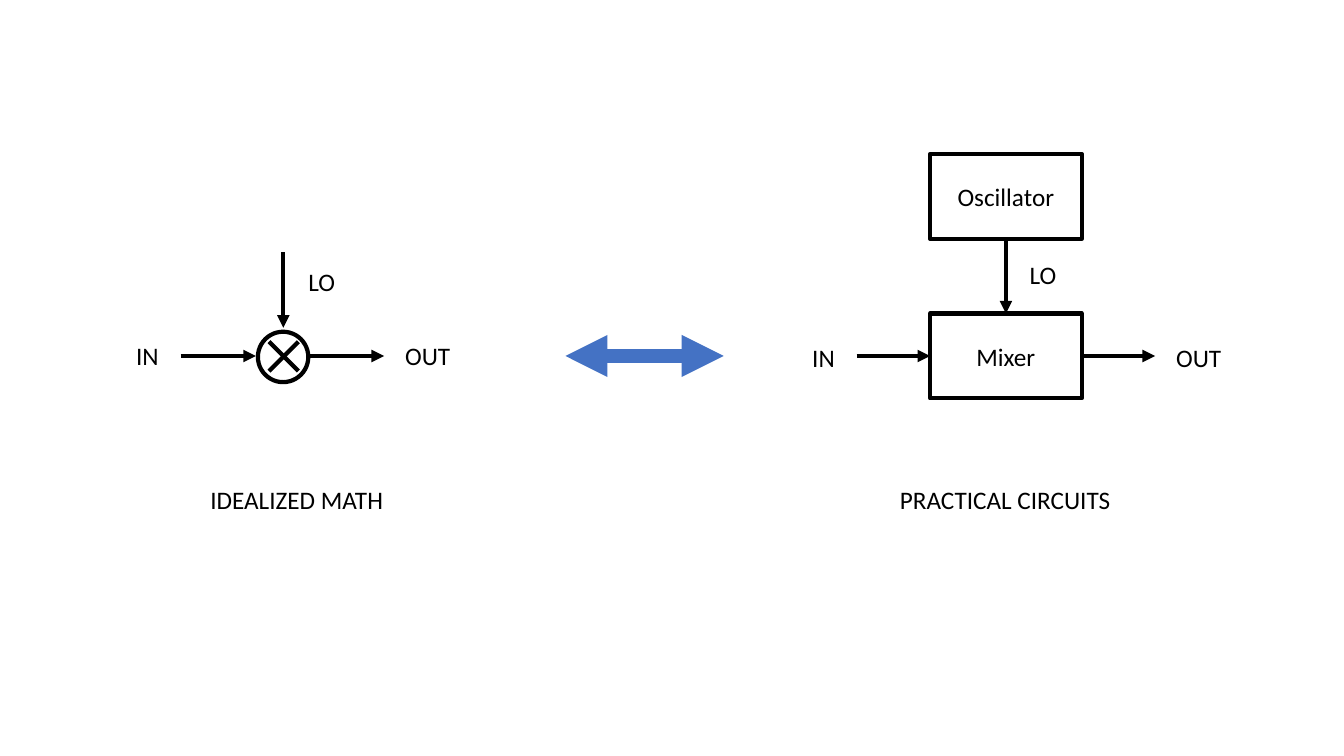
import pptx
import pptx.util
import pptx.dml.color
import pptx.enum.shapes
import pptx.enum.text
import pptx.oxml.ns
import lxml.etree

Cm = pptx.util.Cm
Pt = pptx.util.Pt
SHAPE = pptx.enum.shapes.MSO_SHAPE
BLACK = pptx.dml.color.RGBColor(0x00, 0x00, 0x00)
BLUE = pptx.dml.color.RGBColor(0x44, 0x72, 0xC4)
FONT = "Calibri"
AXIS = 8.97


def add_line(page, start, finish, ends=("tailEnd",), color=BLACK, width=3):
    line = page.shapes.add_connector(
        pptx.enum.shapes.MSO_CONNECTOR.STRAIGHT, *map(Cm, start + finish))
    line.line.color.rgb = color
    line.line.width = Pt(width)
    outline = line.line._get_or_add_ln()
    for end in ends:
        lxml.etree.SubElement(outline, pptx.oxml.ns.qn("a:" + end), type="triangle")
    lxml.etree.SubElement(line._element.spPr, pptx.oxml.ns.qn("a:effectLst"))
    return line


def add_outline(page, shape_type, left, top, width, height):
    box = page.shapes.add_shape(shape_type, Cm(left), Cm(top), Cm(width), Cm(height))
    box.shadow.inherit = False
    box.fill.background()
    box.line.color.rgb = BLACK
    box.line.width = Pt(3)
    return box


deck = pptx.Presentation()
deck.slide_width = Cm(33.87)
deck.slide_height = Cm(19.05)
page = deck.slides.add_slide(deck.slide_layouts[6])

add_outline(page, SHAPE.OVAL, 6.5, 8.36, 1.27, 1.27)
add_line(page, (6.78, 8.61), (7.52, 9.35), ends=())
add_line(page, (7.52, 8.61), (6.78, 9.35), ends=())
add_line(page, (7.14, 6.35), (7.14, 8.26))
add_line(page, (4.55, AXIS), (6.45, AXIS))
add_line(page, (7.77, AXIS), (9.68, AXIS))

add_line(page, (14.25, AXIS), (18.24, AXIS), ("headEnd", "tailEnd"), BLUE, 10)

blocks = {}
for name, top in (("Oscillator", 3.88), ("Mixer", 7.9)):
    box = add_outline(page, SHAPE.RECTANGLE, 23.44, top, 3.82, 2.14)
    box.text_frame.vertical_anchor = pptx.enum.text.MSO_ANCHOR.MIDDLE
    para = box.text_frame.paragraphs[0]
    para.text = name
    para.alignment = pptx.enum.text.PP_ALIGN.CENTER
    para.font.name = FONT
    para.font.size = Pt(18)
    para.font.color.rgb = BLACK
    blocks[name] = box

oscillator_arrow = add_line(page, (25.35, 6.02), (25.35, 7.9))
oscillator_arrow.begin_connect(blocks["Oscillator"], 2)
oscillator_arrow.end_connect(blocks["Mixer"], 0)
input_arrow = add_line(page, (21.59, AXIS), (23.44, AXIS))
input_arrow.end_connect(blocks["Mixer"], 1)
output_arrow = add_line(page, (27.26, AXIS), (29.11, AXIS))
output_arrow.begin_connect(blocks["Mixer"], 3)

labels = (
    ("IN", 3.18, 8.46, 1.09),
    ("OUT", 9.96, 8.46, 1.65),
    ("LO", 7.52, 6.58, 1.19),
    ("IN", 20.22, 8.51, 1.09),
    ("OUT", 29.39, 8.51, 1.65),
    ("LO", 25.7, 6.4, 1.19),
    ("IDEALIZED MATH", 5.05, 12.07, 4.9),
    ("PRACTICAL CIRCUITS", 22.43, 12.07, 5.87),
)
for text, left, top, width in labels:
    box = page.shapes.add_textbox(Cm(left), Cm(top), Cm(width), Cm(1.02))
    box.text_frame.word_wrap = False
    box.text_frame.auto_size = pptx.enum.text.MSO_AUTO_SIZE.SHAPE_TO_FIT_TEXT
    para = box.text_frame.paragraphs[0]
    para.text = text
    para.font.name = FONT
    para.font.size = Pt(18)
    para.font.color.rgb = BLACK

deck.save("out.pptx")
